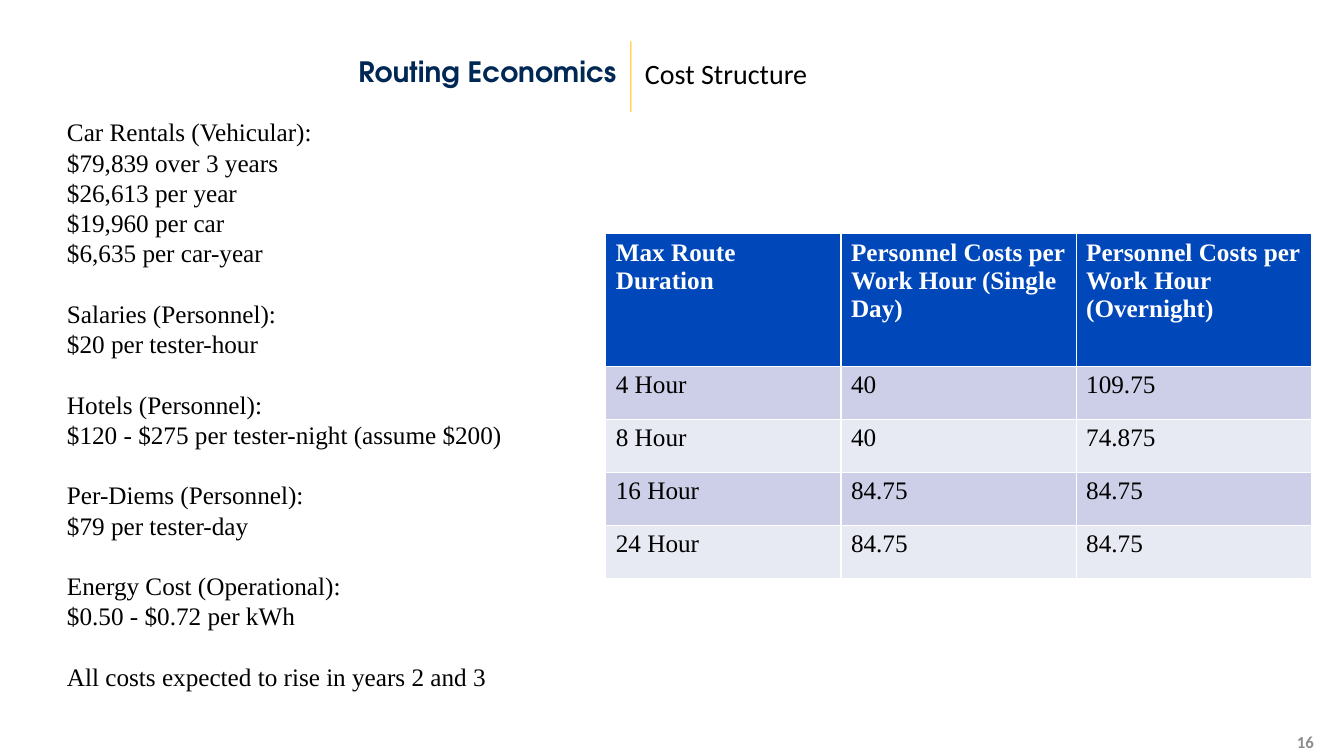
from pptx import Presentation
from pptx.dml.color import RGBColor
from pptx.enum.shapes import MSO_SHAPE
from pptx.enum.text import MSO_ANCHOR, MSO_AUTO_SIZE, PP_ALIGN
from pptx.util import Inches, Pt

NAVY = RGBColor(0x00, 0x28, 0x55)
BLUE = RGBColor(0x00, 0x47, 0xBA)
GOLD = RGBColor(0xFF, 0xBF, 0x00)
LAVENDER = RGBColor(0xCC, 0xCF, 0xE7)
PALE = RGBColor(0xE7, 0xE9, 0xF3)
GREY = RGBColor(0x8C, 0x8C, 0x8C)
BLACK = RGBColor(0x00, 0x00, 0x00)
WHITE = RGBColor(0xFF, 0xFF, 0xFF)

SERIF = "Times New Roman"
SANS = "Calibri"
DISPLAY = "TeX Gyre Adventor"

# The slide is a grid of 400 columns by 225 rows of square cells.
COLUMNS, ROWS = 400, 225
CELL = Inches(7.5) / ROWS
BODY_SIZE = 18
BODY_LINE = Pt(21.6)

COST_GROUPS = [
    ["Car Rentals (Vehicular):", "$79,839 over 3 years", "$26,613 per year",
     "$19,960 per car", "$6,635 per car-year"],
    ["Salaries (Personnel):", "$20 per tester-hour"],
    ["Hotels (Personnel):", "$120 - $275 per tester-night (assume $200)"],
    ["Per-Diems (Personnel):", "$79 per tester-day"],
    ["Energy Cost (Operational):", "$0.50 - $0.72 per kWh"],
    ["All costs expected to rise in years 2 and 3"],
]

ROUTE_COSTS = [
    ["Max Route Duration", "Personnel Costs per Work Hour (Single Day)",
     "Personnel Costs per Work Hour (Overnight)"],
    ["4 Hour", "40", "109.75"],
    ["8 Hour", "40", "74.875"],
    ["16 Hour", "84.75", "84.75"],
    ["24 Hour", "84.75", "84.75"],
]
HEADER_ROWS, ENTRY_ROWS = 39.4, 15.8


def cells(*counts):
    """Turn counts of grid cells into lengths."""
    return [round(count * CELL) for count in counts]


def format_text(frame, size, font, color, bold=False):
    for para in frame.paragraphs:
        for span in para.runs:
            span.font.size = Pt(size)
            span.font.name = font
            span.font.color.rgb = color
            span.font.bold = bold


def add_title(page, text, area):
    title = page.shapes.title
    title.left, title.top, title.width, title.height = cells(*area)
    frame = title.text_frame
    frame.text = text
    frame.auto_size = MSO_AUTO_SIZE.NONE
    frame.vertical_anchor = MSO_ANCHOR.MIDDLE
    frame.margin_left = Inches(0.6)
    para = frame.paragraphs[0]
    para.alignment = PP_ALIGN.RIGHT
    para.line_spacing = 0.9
    para.space_before = Pt(10)
    format_text(frame, 20, DISPLAY, NAVY, bold=True)


def add_text(page, text, area, anchor=MSO_ANCHOR.MIDDLE):
    box = page.shapes.add_textbox(*cells(*area))
    frame = box.text_frame
    frame.word_wrap = True
    frame.vertical_anchor = anchor
    frame.text = text
    return frame


def add_divider(page, area):
    divider = page.shapes.add_shape(MSO_SHAPE.RECTANGLE, *cells(*area))
    divider.shadow.inherit = False
    divider.fill.solid()
    divider.fill.fore_color.rgb = GOLD
    divider.line.fill.background()


def add_cost_list(page, groups, area):
    """Stack the groups with one line of space between them."""
    lines = [line for group in groups for line in group]
    frame = add_text(page, "\n".join(lines), area, MSO_ANCHOR.TOP)
    paragraphs = iter(frame.paragraphs)
    for group_index, group in enumerate(groups):
        for line_index in range(len(group)):
            para = next(paragraphs)
            para.line_spacing = BODY_LINE
            if group_index and line_index == 0:
                para.space_before = BODY_LINE
    format_text(frame, BODY_SIZE, SERIF, BLACK)


def add_cost_table(page, values, area):
    table = page.shapes.add_table(len(values), len(values[0]), *cells(*area)).table
    for row_index, row in enumerate(values):
        header = row_index == 0
        table.rows[row_index].height = cells(HEADER_ROWS if header else ENTRY_ROWS)[0]
        fill = BLUE if header else (PALE, LAVENDER)[row_index % 2]
        for column_index, value in enumerate(row):
            cell = table.cell(row_index, column_index)
            cell.text = value
            cell.fill.solid()
            cell.fill.fore_color.rgb = fill
            format_text(cell.text_frame, BODY_SIZE, SERIF,
                        WHITE if header else BLACK, bold=header)


def main():
    deck = Presentation()
    deck.slide_width, deck.slide_height = cells(COLUMNS, ROWS)
    page = deck.slides.add_slide(deck.slide_layouts[5])

    add_divider(page, (187.6, 12.3, 0.3, 21))
    add_title(page, "Routing Economics", (8, 10.5, 178.5, 22.5))
    subtitle = add_text(page, "Cost Structure", (189, 10.5, 201.6, 22.5))
    format_text(subtitle, 20, SANS, BLACK)

    number = add_text(page, "16", (304, 216.6, 90, 8.4))
    number.paragraphs[0].alignment = PP_ALIGN.RIGHT
    format_text(number, 12, SANS, GREY, bold=True)

    add_cost_list(page, COST_GROUPS, (17, 33.3, 160.2, 175.8))
    add_cost_table(page, ROUTE_COSTS, (180.3, 69.6, 210, 102.6))
    deck.save("out.pptx")


if __name__ == "__main__":
    main()
